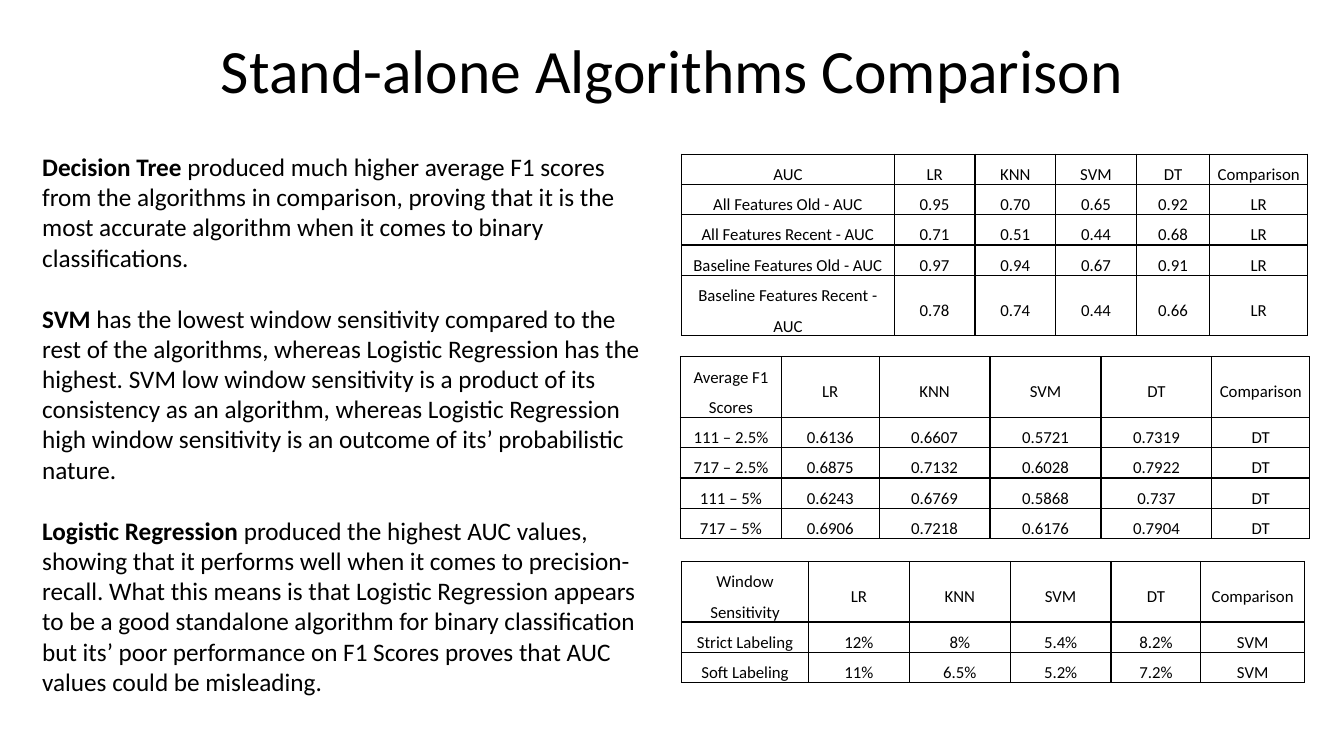
from lxml.etree import SubElement
from pptx import Presentation
from pptx.dml.color import RGBColor
from pptx.enum.text import MSO_ANCHOR as Anchor, PP_ALIGN as Align
from pptx.oxml.ns import qn
from pptx.util import Inches, Pt

BLACK = RGBColor(0, 0, 0)
FONT = "Calibri"
ROW_HEIGHT = 0.3
TITLE = "Stand-alone Algorithms Comparison"
FINDINGS = [
    ("Decision Tree ", "produced much higher average F1 scores from the algorithms in comparison, "
     "proving that it is the most accurate algorithm when it comes to binary classifications."),
    ("SVM ", "has the lowest window sensitivity compared to the rest of the algorithms, whereas "
     "Logistic Regression has the highest. SVM low window sensitivity is a product of its "
     "consistency as an algorithm, whereas Logistic Regression high window sensitivity is an "
     "outcome of its’ probabilistic nature."),
    ("Logistic Regression ", "produced the highest AUC values, showing that it performs well when "
     "it comes to precision-recall. What this means is that Logistic Regression appears to be a "
     "good standalone algorithm for binary classification but its’ poor performance on F1 Scores "
     "proves that AUC values could be misleading."),
]
ALGORITHMS = ["LR", "KNN", "SVM", "DT", "Comparison"]
TABLES = [
    {"left": 6.76, "top": 1.53, "widths": [2.11, 0.8, 0.8, 0.8, 0.73, 0.97], "tall_row": 4,
     "rows": [
         ["AUC", *ALGORITHMS],
         ["All Features Old - AUC", "0.95", "0.70", "0.65", "0.92", "LR"],
         ["All Features Recent - AUC", "0.71", "0.51", "0.44", "0.68", "LR"],
         ["Baseline Features Old - AUC", "0.97", "0.94", "0.67", "0.91", "LR"],
         ["Baseline Features Recent - AUC", "0.78", "0.74", "0.44", "0.66", "LR"]]},
    {"left": 6.75, "top": 3.54, "widths": [1, 0.97, 1.1, 1.1, 1.1, 0.97], "tall_row": 0,
     "rows": [
         ["Average F1 Scores", *ALGORITHMS],
         ["111 – 2.5%", "0.6136", "0.6607", "0.5721", "0.7319", "DT"],
         ["717 – 2.5%", "0.6875", "0.7132", "0.6028", "0.7922", "DT"],
         ["111 – 5%", "0.6243", "0.6769", "0.5868", "0.737", "DT"],
         ["717 – 5%", "0.6906", "0.7218", "0.6176", "0.7904", "DT"]]},
    {"left": 6.76, "top": 5.57, "widths": [1.26, 1, 1, 1, 0.89, 1.03], "tall_row": 0,
     "rows": [
         ["Window Sensitivity", *ALGORITHMS],
         ["Strict Labeling", "12%", "8%", "5.4%", "8.2%", "SVM"],
         ["Soft Labeling", "11%", "6.5%", "5.2%", "7.2%", "SVM"]]},
]


def write(paragraph, text, size, bold=False, align=Align.LEFT, spacing=1.0):
    paragraph.alignment = align
    paragraph.line_spacing = spacing
    run = paragraph.add_run()
    run.text = text
    run.font.name = FONT
    run.font.size = Pt(size)
    run.font.bold = bold
    run.font.color.rgb = BLACK


def add_text_frame(slide, left, top, width, height, anchor=Anchor.TOP):
    box = slide.shapes.add_textbox(Inches(left), Inches(top), Inches(width), Inches(height))
    box.text_frame.word_wrap = True
    box.text_frame.vertical_anchor = anchor
    return box.text_frame


def add_borders(cell):
    properties = cell._tc.get_or_add_tcPr()
    for position, side in enumerate(("a:lnL", "a:lnR", "a:lnT", "a:lnB")):
        line = SubElement(properties, qn(side), w=str(Pt(1)))
        fill = SubElement(line, qn("a:solidFill"))
        SubElement(fill, qn("a:srgbClr"), val=str(BLACK))
        properties.insert(position, line)


def add_comparison(slide, left, top, widths, tall_row, rows):
    heights = [ROW_HEIGHT * (2 if index == tall_row else 1) for index in range(len(rows))]
    table = slide.shapes.add_table(len(rows), len(widths), Inches(left), Inches(top),
                                   Inches(sum(widths)), Inches(sum(heights))).table
    table.first_row = table.horz_banding = False
    for column, width in zip(table.columns, widths):
        column.width = Inches(width)
    for row, height, values in zip(table.rows, heights, rows):
        row.height = Inches(height)
        for cell, value in zip(row.cells, values):
            cell.fill.background()
            cell.vertical_anchor = Anchor.MIDDLE
            cell.margin_left = cell.margin_right = Inches(0.07)
            cell.margin_top = cell.margin_bottom = 0
            write(cell.text_frame.paragraphs[0], value, 12, align=Align.CENTER, spacing=1.5)
            add_borders(cell)


def main():
    presentation = Presentation()
    presentation.slide_width = Inches(13.33)
    presentation.slide_height = Inches(7.5)
    slide = presentation.slides.add_slide(presentation.slide_layouts[6])

    title = add_text_frame(slide, 0.92, 0, 11.5, 1.45, Anchor.MIDDLE)
    write(title.paragraphs[0], TITLE, 44, align=Align.CENTER, spacing=0.9)

    for table in TABLES:
        add_comparison(slide, **table)

    findings = add_text_frame(slide, 0.32, 1.45, 6.13, 5.86)
    for index, (name, finding) in enumerate(FINDINGS):
        paragraph = findings.add_paragraph() if index else findings.paragraphs[0]
        if index:
            paragraph.space_before = Pt(22)
        write(paragraph, name, 18, bold=True)
        write(paragraph, finding, 18)

    presentation.save("out.pptx")


if __name__ == "__main__":
    main()
